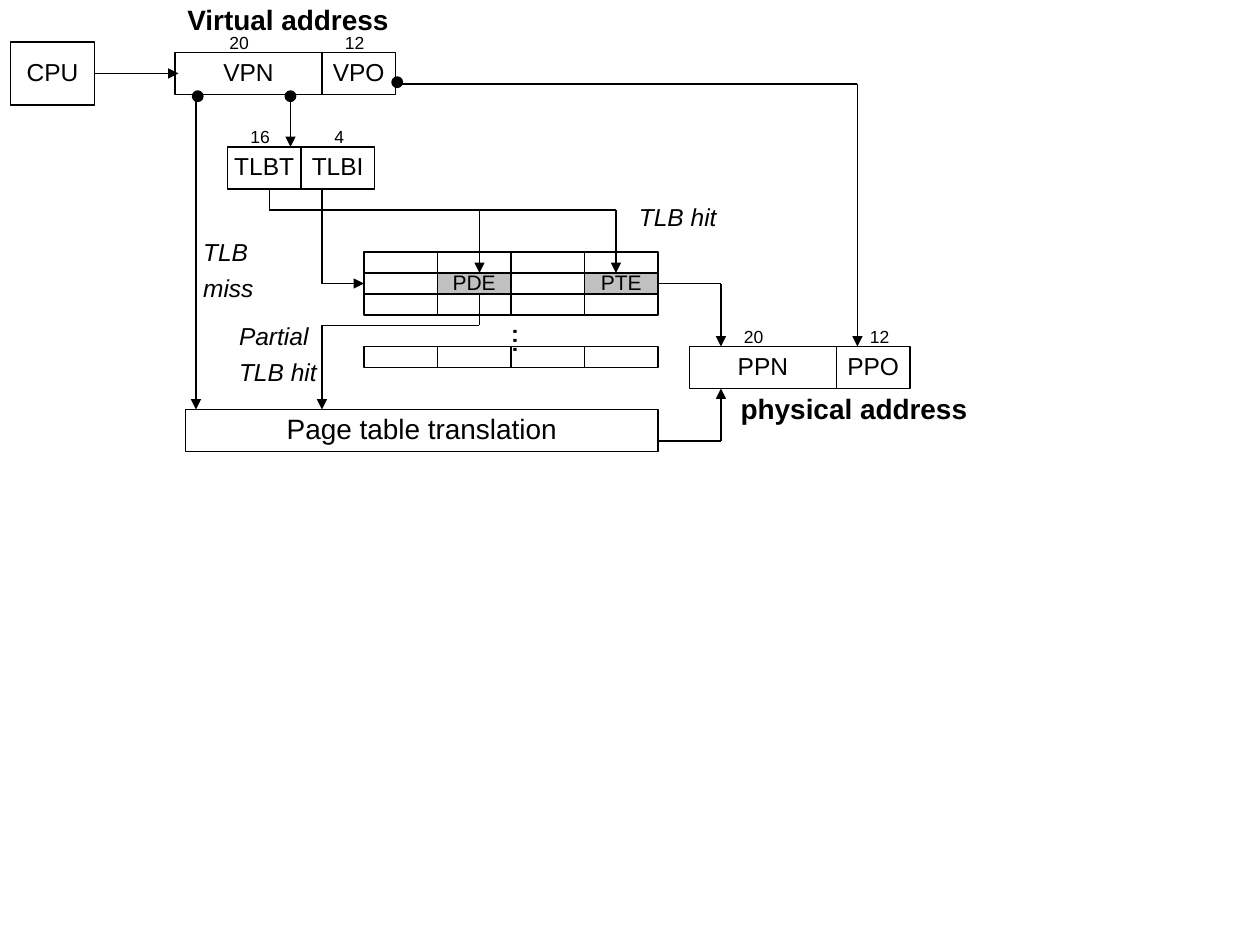
"""Build the slide on address translation through the TLB and page tables."""
import itertools

import lxml.etree
import pptx
import pptx.dml.color
import pptx.enum.shapes
import pptx.enum.text
import pptx.oxml.ns
import pptx.util

Pt = pptx.util.Pt
SHAPE = pptx.enum.shapes.MSO_SHAPE
ALIGN = pptx.enum.text.PP_ALIGN
GROW = pptx.enum.text.MSO_AUTO_SIZE.SHAPE_TO_FIT_TEXT
BLACK, WHITE, GREY = "000000", "FFFFFF", "C0C0C0"


def paint(fmt, color):
    fmt.solid()
    fmt.fore_color.rgb = pptx.dml.color.RGBColor.from_string(color)


def write(s, lines, size, align, bold=False, italic=False):
    tf = s.text_frame
    tf.word_wrap = False
    for i, line in enumerate(lines):
        p = tf.paragraphs[0] if i == 0 else tf.add_paragraph()
        p.alignment = align
        p.line_spacing = 0.9
        if i:
            p.space_before = Pt(5.2)
        r = p.add_run()
        r.text = line
        r.font.name = "Arial"
        r.font.size = Pt(size)
        r.font.bold = bold
        r.font.italic = italic
        paint(r.font.fill, BLACK)


prs = pptx.Presentation()
prs.slide_width, prs.slide_height = Pt(720), Pt(540)
slide = prs.slides.add_slide(prs.slide_layouts[6])

boxes = [
    ("CPU", 6, 24, 48, 36, 14, WHITE),
    ("VPN", 100, 30, 84, 24, 14, WHITE),
    ("VPO", 184, 30, 42, 24, 14, WHITE),
    ("TLBT", 130, 84, 42, 24, 14, WHITE),
    ("TLBI", 172, 84, 42, 24, 14, WHITE),
    ("Page table translation", 106, 234, 270, 24, 16, WHITE),
    ("PPN", 394, 198, 84, 24, 14, WHITE),
    ("PPO", 478, 198, 42, 24, 14, WHITE),
]
entries = {(156, 1): "PDE", (156, 3): "PTE"}
for y, col in itertools.product((144, 156, 168, 198), range(4)):
    text = entries.get((y, col))
    boxes.append((text, 208 + 42 * col, y, 42, 12, 12, GREY if text else None))

for text, x, y, w, h, size, fill in boxes:
    s = slide.shapes.add_shape(SHAPE.RECTANGLE, Pt(x), Pt(y), Pt(w), Pt(h))
    s.shadow.inherit = False
    s.line.width = Pt(0.75)
    paint(s.line.fill, BLACK)
    if fill:
        paint(s.fill, fill)
    else:
        s.fill.background()
    if text:
        s.text_frame.vertical_anchor = pptx.enum.text.MSO_ANCHOR.MIDDLE
        write(s, [text], size, ALIGN.CENTER)

routes = [
    (0.75, True, [(166, 54), (166, 84)]),
    (0.75, True, [(184, 108), (184, 162), (208, 162)]),
    (0.75, False, [(154, 108), (154, 120), (352, 120)]),
    (0.75, True, [(274, 120), (274, 156)]),
    (0.75, True, [(352, 120), (352, 156)]),
    (0.75, True, [(376, 162), (412, 162), (412, 198)]),
    (0.75, True, [(112, 54), (112, 234)]),
    (0.75, True, [(376, 252), (412, 252), (412, 222)]),
    (0.75, True, [(226, 48), (490, 48), (490, 198)]),
    (1, True, [(274, 168), (274, 186), (184, 186), (184, 234)]),
    (1, True, [(54, 42), (102, 42)]),
]
for width, arrow, points in routes:
    for start, end in zip(points, points[1:]):
        s = slide.shapes.add_connector(
            pptx.enum.shapes.MSO_CONNECTOR.STRAIGHT, *map(Pt, start + end))
        s.line.width = Pt(width)
        paint(s.line.fill, BLACK)
        if arrow and end == points[-1]:
            lxml.etree.SubElement(
                s.line.fill._xPr, pptx.oxml.ns.qn("a:tailEnd"), type="triangle")
        lxml.etree.SubElement(s.element.spPr, pptx.oxml.ns.qn("a:effectLst"))

for x, y in ((110, 52), (163, 52), (224, 44)):
    s = slide.shapes.add_shape(SHAPE.OVAL, Pt(x), Pt(y), Pt(6), Pt(6))
    s.shadow.inherit = False
    s.line.width = Pt(0.75)
    paint(s.line.fill, BLACK)
    paint(s.fill, BLACK)

bit_counts = [("20", 124, 16), ("12", 190, 16), ("16", 136, 70),
              ("4", 184, 70), ("20", 418, 184), ("12", 490, 184)]
for text, x, y in bit_counts:
    s = slide.shapes.add_textbox(Pt(x), Pt(y), Pt(15 + 5.6 * len(text)), Pt(18))
    write(s, [text], 10, ALIGN.LEFT)
    s.text_frame.auto_size = GROW

labels = [
    (["Virtual address"], 100, 0, 130, 24.5, 16, ALIGN.LEFT, True),
    (["physical address"], 412, 222.5, 152, 24.5, 16, ALIGN.CENTER, True),
    (["TLB", "miss"], 109, 134, 44, 42.5, 14, ALIGN.LEFT, False),
    (["TLB hit"], 358, 114, 72, 22, 14, ALIGN.LEFT, False),
    (["Partial", "TLB hit"], 129.5, 182, 60, 42.5, 14, ALIGN.LEFT, False),
]
for lines, x, y, w, h, size, align, bold in labels:
    s = slide.shapes.add_textbox(Pt(x), Pt(y), Pt(w), Pt(h))
    write(s, lines, size, align, bold, not bold)
    s.text_frame.word_wrap = lines == ["TLB hit"] or align == ALIGN.CENTER
    s.text_frame.auto_size = GROW

s = slide.shapes.add_textbox(Pt(278.5), Pt(180), Pt(34), Pt(22))
write(s, ["..."], 18, ALIGN.LEFT)
tf = s.text_frame
tf.auto_size = GROW
tf.margin_left = tf.margin_right = Pt(3.6)
tf.margin_top = tf.margin_bottom = Pt(7.2)
s.element.txBody.bodyPr.set("vert", "eaVert")

prs.save("out.pptx")
